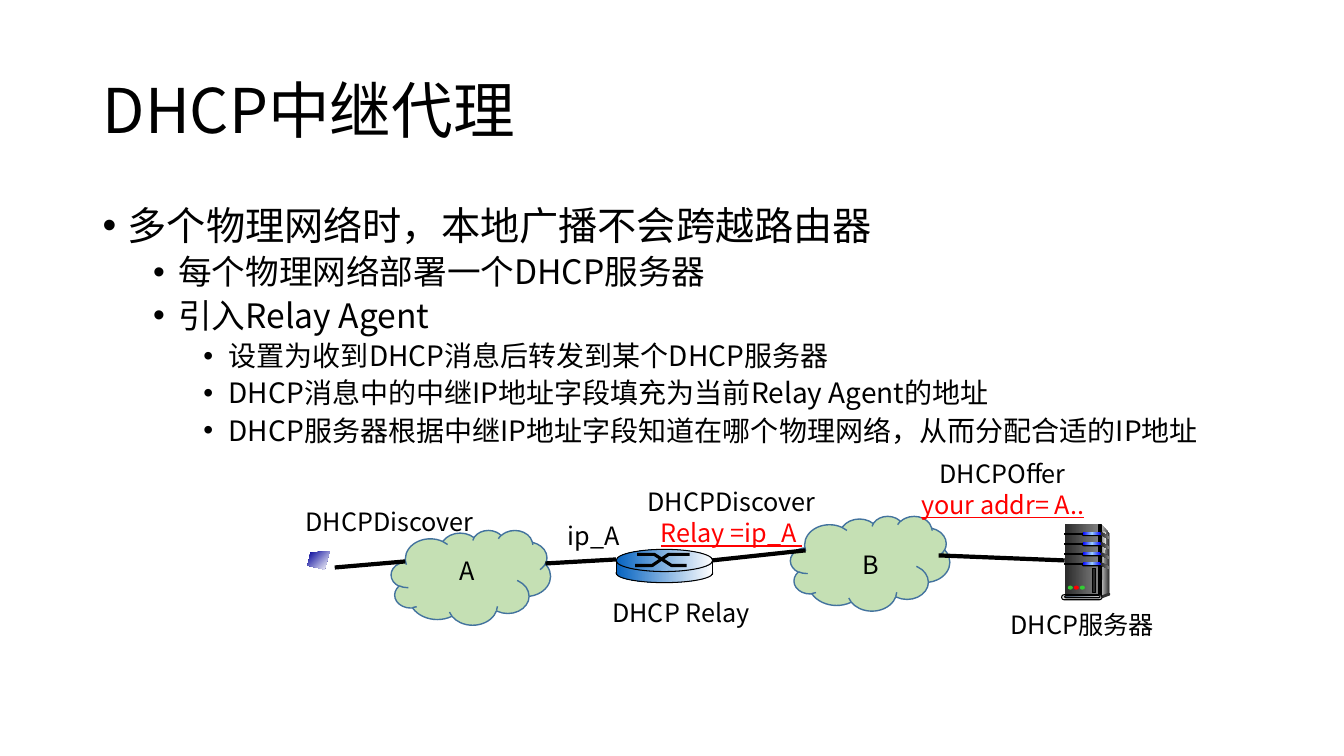
from copy import deepcopy
from lxml.etree import SubElement
from pptx import Presentation
from pptx.dml.color import RGBColor
from pptx.enum.shapes import MSO_CONNECTOR, MSO_SHAPE
from pptx.enum.text import MSO_ANCHOR, MSO_AUTO_SIZE, PP_ALIGN
from pptx.oxml.ns import qn
from pptx.util import Inches, Pt

FONT = "Noto Sans CJK SC"
BLACK = RGBColor(0x00, 0x00, 0x00)
WHITE = RGBColor(0xFF, 0xFF, 0xFF)
RED = RGBColor(0xFF, 0x00, 0x00)
LED_GREEN = RGBColor(0x33, 0xCC, 0x33)
CLOUD_GREEN = RGBColor(0xC5, 0xE0, 0xB4)
CLOUD_EDGE = RGBColor(0x43, 0x73, 0x9E)
NAVY = RGBColor(0x00, 0x00, 0x99)
ROUTER_BLUE = RGBColor(0x05, 0x63, 0xC1)
BLUE = RGBColor(0x00, 0x00, 0xFF)
SKY = RGBColor(0x99, 0xCC, 0xFF)
COAL = RGBColor(0x29, 0x29, 0x29)
DARK = RGBColor(0x33, 0x33, 0x33)
GRAY = RGBColor(0x80, 0x80, 0x80)
SILVER = RGBColor(0xDD, 0xDD, 0xDD)
PALE = RGBColor(0xF8, 0xF8, 0xF8)
SLATE = RGBColor(0x44, 0x54, 0x6A)
MIST = RGBColor(0xE7, 0xE6, 0xE6)

TITLE = "DHCP中继代理"
BULLETS = [
    (0, "多个物理网络时，本地广播不会跨越路由器"),
    (1, "每个物理网络部署一个DHCP服务器"),
    (1, "引入Relay Agent"),
    (2, "设置为收到DHCP消息后转发到某个DHCP服务器"),
    (2, "DHCP消息中的中继IP地址字段填充为当前Relay Agent的地址"),
    (2, "DHCP服务器根据中继IP地址字段知道在哪个物理网络，从而分配合适的IP地址"),
]
LEVEL_SIZES = (28, 24, 20)
LABELS = [
    ((9.75, 6, 1.97, 0.4), ["DHCP服务器"]),
    ((5.77, 5.88, 1.97, 0.4), ["DHCP Relay"]),
    ((2.88, 4.97, 1.97, 0.4), ["DHCPDiscover"]),
    ((6.27, 4.78, 1.97, 0.71), ["DHCPDiscover", "Relay =ip_A "]),
    ((5.46, 5.11, 0.86, 0.4), ["ip_A"]),
    ((4.2, 5.46, 0.86, 0.4), ["A"]),
    ((8.21, 5.4, 0.86, 0.4), ["B"]),
    ((8.96, 4.5, 1.97, 0.71), ["DHCPOffer", "your addr= A.."]),
]
CLOUDS = [(3.88, 5.26), (7.84, 5.12)]
LINKS = [
    ((4.02, 5.57), (3.32, 5.63)),
    ((6.11, 5.55), (5.41, 5.59)),
    ((7.99, 5.46), (7.06, 5.56)),
    ((10.56, 5.56), (9.31, 5.51)),
]
HOST = [(3.27, 5.47), (3.08, 5.48), (3.05, 5.61), (3.22, 5.65)]
ROUTER_LEFT, ROUTER_WIDTH = 6.11, 0.96
ROUTER_ARROWS = [
    [(6.3, 5.61), (6.47, 5.61), (6.63, 5.5), (6.84, 5.5)],
    [(6.32, 5.5), (6.49, 5.5), (6.66, 5.61), (6.81, 5.61)],
]
BAY_COUNT, BAY_TOP, BAY_PITCH = 4, 5.28, 0.1
LEDS = [LED_GREEN, RED, LED_GREEN]


def paint(shape, fill, line, weight, angle=0):
    shape.shadow.inherit = False
    if fill is None:
        shape.fill.background()
    elif isinstance(fill, RGBColor):
        shape.fill.solid()
        shape.fill.fore_color.rgb = fill
    else:
        shape.fill.gradient()
        shape.fill.gradient_angle = -angle % 360
        stop_list = shape._element.spPr.find(qn("a:gradFill")).find(qn("a:gsLst"))
        while len(stop_list) < len(fill):
            stop_list.append(deepcopy(stop_list[0]))
        for index, (stop, color) in enumerate(zip(shape.fill.gradient_stops, fill)):
            stop.color.rgb = color
            stop.position = index / (len(fill) - 1)
    if line is None:
        shape.line.fill.background()
    else:
        shape.line.color.rgb = line
        shape.line.width = Pt(weight)


def add_preset(shapes, kind, box, fill, line=None, weight=0.75):
    shape = shapes.add_shape(kind, *map(Inches, box))
    if kind == MSO_SHAPE.ROUNDED_RECTANGLE:
        shape.adjustments[0] = 0.5
    paint(shape, fill, line, weight)


def add_outline(shapes, points, fill=None, line=None, weight=2.25, angle=0):
    corners = [(Inches(x), Inches(y)) for x, y in points]
    builder = shapes.build_freeform(*corners[0])
    builder.add_line_segments(corners[1:], close=fill is not None)
    paint(builder.convert_to_shape(), fill, line, weight, angle)


def add_line(shapes, start, end, weight):
    connector = shapes.add_connector(MSO_CONNECTOR.STRAIGHT, *map(Inches, start + end))
    connector.line.color.rgb = BLACK
    connector.line.width = Pt(weight)
    SubElement(connector._element.spPr, qn("a:effectLst"))


def write(paragraph, text, size=18, color=BLACK, underline=None, align=None,
          spacing=None, before=None, level=None):
    paragraph.alignment = align
    paragraph.line_spacing = spacing
    if before is not None:
        paragraph.space_before = Pt(before)
    if level is not None:
        paragraph.level = level
        properties = paragraph._p.get_or_add_pPr()
        properties.set("marL", str(Inches(0.25 + 0.5 * level)))
        properties.set("indent", str(Inches(-0.25)))
        SubElement(properties, qn("a:buFont"), typeface="Arial")
        SubElement(properties, qn("a:buChar"), char="•")
    run = paragraph.add_run()
    run.text = text
    run.font.size = Pt(size)
    run.font.name = FONT
    run.font.color.rgb = color
    run.font.underline = underline
    SubElement(run._r.get_or_add_rPr(), qn("a:ea"), typeface=FONT)


def add_frame(shapes, box):
    frame = shapes.add_textbox(*map(Inches, box)).text_frame
    frame.word_wrap = True
    return frame


def next_paragraph(frame, index):
    return frame.add_paragraph() if index else frame.paragraphs[0]


def draw_router(shapes):
    blue = (ROUTER_BLUE, WHITE)
    left, width = ROUTER_LEFT, ROUTER_WIDTH
    add_preset(shapes, MSO_SHAPE.OVAL, (left, 5.59, width, 0.19), blue, BLACK)
    add_preset(shapes, MSO_SHAPE.RECTANGLE, (left, 5.58, width, 0.11), blue)
    add_preset(shapes, MSO_SHAPE.OVAL, (left, 5.45, width, 0.22), blue, BLACK)
    for points in ROUTER_ARROWS:
        add_outline(shapes, points, line=BLACK)
    for x in (left, left + width):
        add_line(shapes, (x, 5.55), (x, 5.7), 0.75)


def draw_server(shapes):
    bar, pill, oval = MSO_SHAPE.RECTANGLE, MSO_SHAPE.ROUNDED_RECTANGLE, MSO_SHAPE.OVAL
    add_outline(shapes, [(10.92, 5.2), (11, 5.29), (11, 5.88), (10.91, 5.92)], (SILVER, DARK))
    add_preset(shapes, bar, (10.56, 5.2, 0.34, 0.71), (COAL, GRAY))
    add_outline(shapes, [(10.92, 5.25), (10.98, 5.3), (10.94, 5.6), (10.92, 5.9)], (GRAY, PALE))
    add_preset(shapes, bar, (10.9, 5.2, 0.02, 0.71), (DARK, SILVER, DARK), BLACK)
    for bay in range(BAY_COUNT):
        top = BAY_TOP + bay * BAY_PITCH
        add_preset(shapes, bar, (10.56, top + 0.01, 0.2, 0.01), BLACK, BLACK)
        add_preset(shapes, pill, (10.73, top, 0.19, 0.04), BLACK)
        add_preset(shapes, pill, (10.74, top, 0.18, 0.03), (BLUE, SKY, BLUE))
        vent = [(10.92, top), (11, top + 0.04), (11, top + 0.07), (10.92, top + 0.03)]
        add_outline(shapes, vent, (COAL, GRAY))
    add_preset(shapes, oval, (10.99, 5.88, 0.02, 0.03), DARK)
    add_outline(shapes, [(10.92, 5.91), (10.92, 5.94), (11, 5.91), (11, 5.88)], DARK)
    add_preset(shapes, pill, (10.53, 5.9, 0.4, 0.05), SILVER, BLACK)
    add_preset(shapes, pill, (10.56, 5.91, 0.35, 0.02), (SLATE, MIST), BLACK)
    for index, color in enumerate(LEDS):
        add_preset(shapes, oval, (10.59 + 0.06 * index, 5.81, 0.05, 0.04), color)
    add_preset(shapes, bar, (10.84, 5.64, 0.03, 0.24), COAL, BLACK)


def main():
    presentation = Presentation()
    presentation.slide_width, presentation.slide_height = Inches(13.33), Inches(7.5)
    slide = presentation.slides.add_slide(presentation.slide_layouts[6])
    shapes = slide.shapes

    title = add_frame(shapes, (0.92, 0.4, 11.5, 1.45))
    title.vertical_anchor = MSO_ANCHOR.MIDDLE
    write(title.paragraphs[0], TITLE, size=44, spacing=0.9)
    body = add_frame(shapes, (0.92, 2, 11.5, 4.76))
    for index, (level, text) in enumerate(BULLETS):
        write(next_paragraph(body, index), text, size=LEVEL_SIZES[level], spacing=0.9,
              before=5 if index else None, level=level)

    for left, top in CLOUDS:
        add_preset(shapes, MSO_SHAPE.CLOUD, (left, top, 1.58, 0.94), CLOUD_GREEN, CLOUD_EDGE, 1)
    for start, end in LINKS:
        add_line(shapes, start, end, 3)
    add_outline(shapes, HOST, (NAVY, WHITE), angle=45)
    draw_server(shapes.add_group_shape().shapes)
    draw_router(shapes.add_group_shape().shapes)

    for box, lines in LABELS:
        frame = add_frame(shapes, box)
        frame.auto_size = MSO_AUTO_SIZE.SHAPE_TO_FIT_TEXT
        for index, text in enumerate(lines):
            write(next_paragraph(frame, index), text, color=RED if index else BLACK,
                  underline=True if index else None, align=PP_ALIGN.CENTER)
    presentation.save("out.pptx")


if __name__ == "__main__":
    main()
